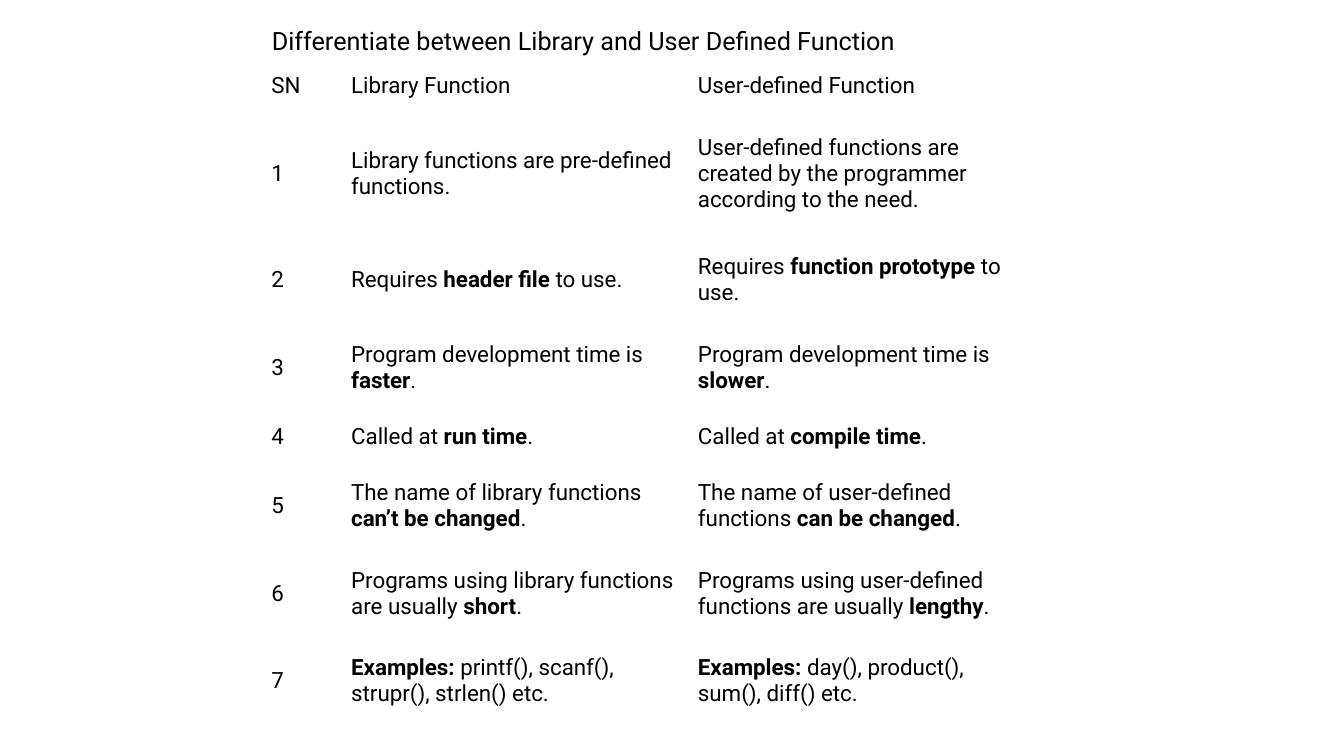
import pptx
import pptx.util
import pptx.dml.color
import pptx.enum.text
import pptx.oxml.ns

Cm = pptx.util.Cm

# Content: text between asterisks is bold
TITLE = "Differentiate between Library and User Defined Function"
HEADER = ("SN", "Library Function", "User-defined Function")
# Each entry: lines of text the row holds, library side, user-defined side
DIFFERENCES = [
    (3, "Library functions are pre-defined functions.",
     "User-defined functions are created by the programmer according to the need."),
    (2, "Requires *header file* to use.", "Requires *function prototype* to use."),
    (2, "Program development time is *faster*.", "Program development time is *slower*."),
    (1, "Called at *run time*.", "Called at *compile time*."),
    (2, "The name of library functions *can’t be changed*.",
     "The name of user-defined functions *can be changed*."),
    (2, "Programs using library functions are usually *short*.",
     "Programs using user-defined functions are usually *lengthy*."),
    (2, "*Examples:* printf(), scanf(), strupr(), strlen() etc.",
     "*Examples:* day(), product(), sum(), diff() etc."),
]

# Look
COLORS = {"text": "000000"}
FONT = "Roboto"
PLAIN_TABLE_STYLE = "{2D5ABB26-0587-4C30-8999-92F81FD0307C}"

# Layout in centimetres
LEFT = 6.6
TITLE_TOP, TITLE_WIDTH, TITLE_HEIGHT = 0.51, 17.6, 1.02
TABLE_TOP = 1.53
COLUMN_WIDTHS = (2.01, 8.74, 8.74)
LINE_HEIGHT, ROW_PADDING = 0.94, 0.33
CELL_SIDE, CELL_EDGE = 0.24, 0.11


def write_text(frame, text, size=16, color="text"):
    """Fill a text frame, turning asterisk-marked parts bold."""
    frame.word_wrap = True
    para = frame.paragraphs[0]
    for index, part in enumerate(text.split("*")):
        if part:
            span = para.add_run()
            span.text = part
            span.font.name = FONT
            span.font.size = pptx.util.Pt(size)
            span.font.bold = index % 2 == 1
            span.font.color.rgb = pptx.dml.color.RGBColor.from_string(COLORS[color])


deck = pptx.Presentation()
deck.slide_width, deck.slide_height = Cm(33.87), Cm(19.05)
page = deck.slides.add_slide(deck.slide_layouts[6])

# Title
title_box = page.shapes.add_textbox(
    Cm(LEFT), Cm(TITLE_TOP), Cm(TITLE_WIDTH), Cm(TITLE_HEIGHT))
write_text(title_box.text_frame, TITLE, size=18)
title_box.text_frame.auto_size = pptx.enum.text.MSO_AUTO_SIZE.SHAPE_TO_FIT_TEXT

# Comparison table
rows = [HEADER] + [(str(number), library, user)
                   for number, (_, library, user) in enumerate(DIFFERENCES, 1)]
line_counts = [1] + [entry[0] for entry in DIFFERENCES]
heights = [count * LINE_HEIGHT + ROW_PADDING for count in line_counts]
table = page.shapes.add_table(
    len(rows), len(HEADER), Cm(LEFT), Cm(TABLE_TOP),
    Cm(sum(COLUMN_WIDTHS)), Cm(sum(heights))).table
table.first_row = table.horz_banding = False
table._tbl.tblPr.find(pptx.oxml.ns.qn("a:tableStyleId")).text = PLAIN_TABLE_STYLE

for column, width in zip(table.columns, COLUMN_WIDTHS):
    column.width = Cm(width)
for row, height, texts in zip(table.rows, heights, rows):
    row.height = Cm(height)
    for cell, text in zip(row.cells, texts):
        cell.fill.background()
        cell.vertical_anchor = pptx.enum.text.MSO_ANCHOR.MIDDLE
        cell.margin_left = cell.margin_right = Cm(CELL_SIDE)
        cell.margin_top = cell.margin_bottom = Cm(CELL_EDGE)
        write_text(cell.text_frame, text)

deck.save("out.pptx")
